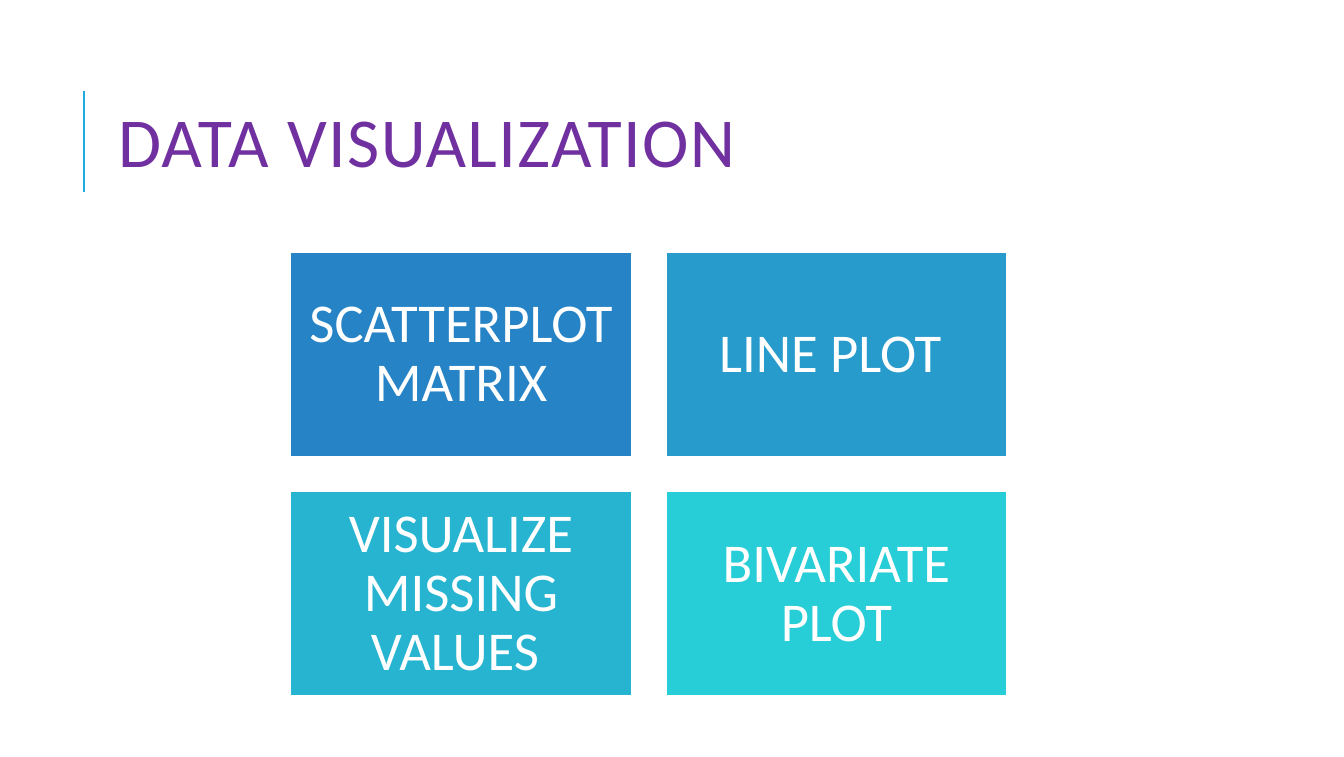
from dataclasses import dataclass

from lxml import etree
from pptx import Presentation
from pptx.dml.color import RGBColor
from pptx.enum import shapes, text
from pptx.oxml import ns
from pptx.slide import Slide
from pptx.text.text import TextFrame
from pptx.util import Inches, Pt


@dataclass(frozen=True)
class Theme:
    font: str = "Calibri"
    heading: str = "7030A0"
    accent: str = "1CADE4"
    white: str = "FFFFFF"
    heading_size: float = 50
    tile_size: float = 39
    accent_width: float = 1.5
    outline_width: float = 1.25


@dataclass(frozen=True)
class Tile:
    label: str
    fill: str


THEME = Theme()
PLOTS = [
    Tile("SCATTERPLOT MATRIX", "2683C6"),
    Tile("LINE PLOT ", "269BCC"),
    Tile("VISUALIZE MISSING VALUES ", "27B4D1"),
    Tile("BIVARIATE PLOT", "27CED7"),
]
COLUMNS = 2
GRID_LEFT, GRID_TOP = 2.88, 2.5
TILE_WIDTH, TILE_HEIGHT = 3.38, 2.03
GAP = 0.34


def rgb(value: str) -> RGBColor:
    return RGBColor.from_string(value)


def write_text(frame: TextFrame, content: str, *, size: float, color: str,
               align: text.PP_ALIGN, line_spacing: float, inset: float,
               tracking: int = 0) -> None:
    frame.word_wrap = True
    frame.vertical_anchor = text.MSO_ANCHOR.MIDDLE
    frame.margin_left = frame.margin_right = Inches(inset)
    frame.margin_top = frame.margin_bottom = Inches(inset)
    paragraph = frame.paragraphs[0]
    paragraph.alignment = align
    paragraph.line_spacing = line_spacing
    run = paragraph.add_run()
    run.text = content
    run.font.name = THEME.font
    run.font.size = Pt(size)
    run.font.color.rgb = rgb(color)
    if tracking:
        run.font._element.set("spc", str(tracking))


def draw_heading(slide: Slide) -> None:
    accent = slide.shapes.add_connector(
        shapes.MSO_CONNECTOR.STRAIGHT,
        Inches(0.83), Inches(1.9), Inches(0.83), Inches(0.9))
    accent.line.color.rgb = rgb(THEME.accent)
    accent.line.width = Pt(THEME.accent_width)
    etree.SubElement(accent._element.spPr, ns.qn("a:effectLst"))
    heading = slide.shapes.add_textbox(
        Inches(1.12), Inches(0.64), Inches(10.63), Inches(1.64))
    write_text(heading.text_frame, "DATA VISUALIZATION",
               size=THEME.heading_size, color=THEME.heading,
               align=text.PP_ALIGN.LEFT, line_spacing=0.8, inset=0.05,
               tracking=100)


def draw_tile(slide: Slide, tile: Tile, left: float, top: float) -> None:
    box = slide.shapes.add_shape(
        shapes.MSO_SHAPE.RECTANGLE, Inches(left), Inches(top),
        Inches(TILE_WIDTH), Inches(TILE_HEIGHT))
    box.shadow.inherit = False
    box.fill.solid()
    box.fill.fore_color.rgb = rgb(tile.fill)
    box.line.color.rgb = rgb(THEME.white)
    box.line.width = Pt(THEME.outline_width)
    write_text(box.text_frame, tile.label, size=THEME.tile_size,
               color=THEME.white, align=text.PP_ALIGN.CENTER,
               line_spacing=0.9, inset=0.16)


def main() -> None:
    deck = Presentation()
    deck.slide_width, deck.slide_height = Inches(13.32), Inches(7.5)
    slide = deck.slides.add_slide(deck.slide_layouts[6])
    slide.background.fill.solid()
    slide.background.fill.fore_color.rgb = rgb(THEME.white)
    draw_heading(slide)
    for index, tile in enumerate(PLOTS):
        row, column = divmod(index, COLUMNS)
        draw_tile(slide, tile,
                  GRID_LEFT + column * (TILE_WIDTH + GAP),
                  GRID_TOP + row * (TILE_HEIGHT + GAP))
    deck.save("out.pptx")


if __name__ == "__main__":
    main()
